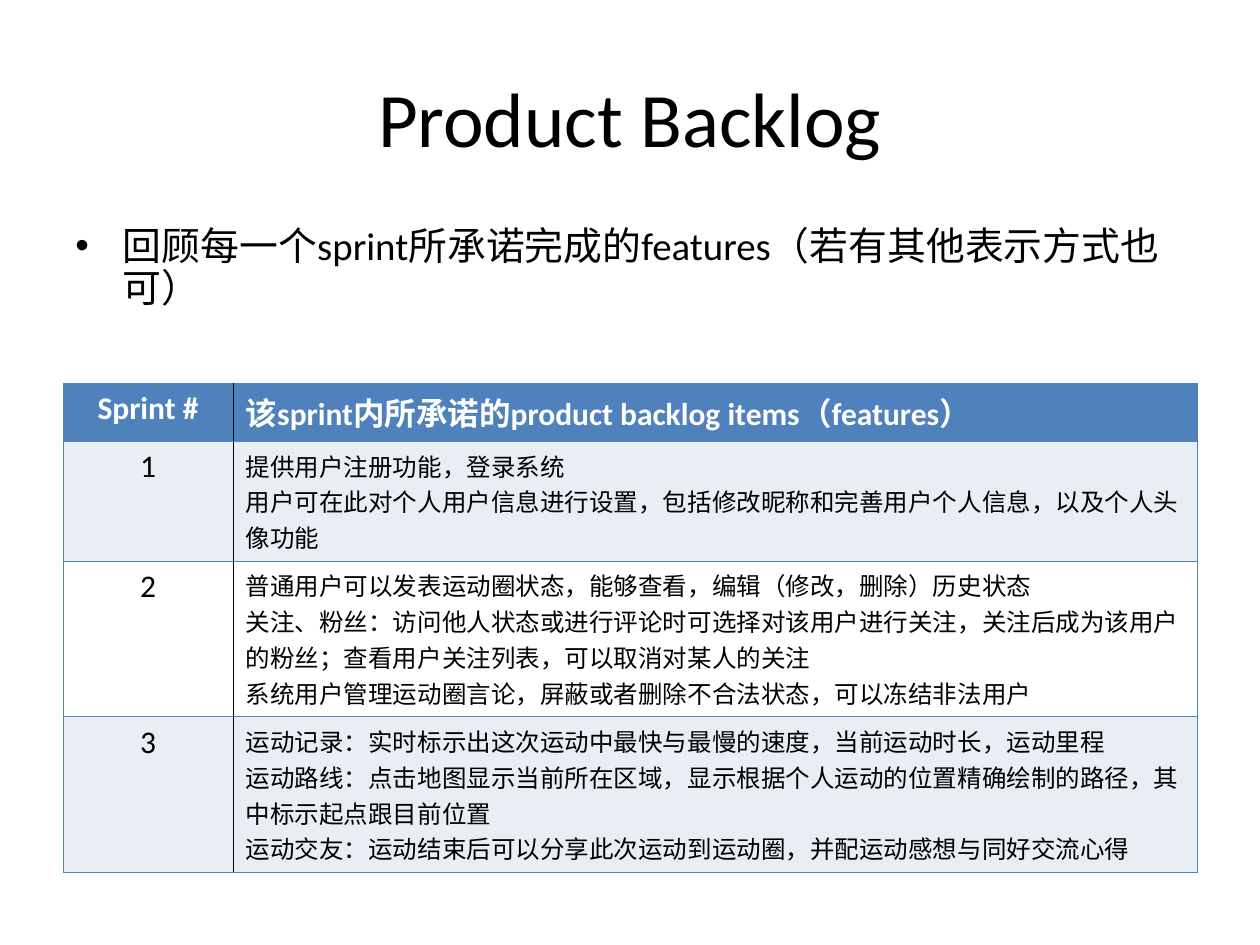
from dataclasses import dataclass

import lxml.etree
import pptx
import pptx.dml.color
import pptx.enum.text
import pptx.oxml
import pptx.oxml.ns
import pptx.util

Cm = pptx.util.Cm
Pt = pptx.util.Pt
Align = pptx.enum.text.PP_ALIGN
Anchor = pptx.enum.text.MSO_ANCHOR
qn = pptx.oxml.ns.qn

FONT = "Calibri"
BLACK = "000000"
WHITE = "FFFFFF"
BLUE = "4F81BD"
PALE_BLUE = "E9EDF4"
MARGIN = Cm(1.27)
CONTENT_WIDTH = Cm(22.86)
COLUMN_WIDTHS = (Cm(3.43), Cm(19.43))


@dataclass
class BacklogRow:
    sprint: str
    features: list[str]
    height: float
    fill: str
    color: str = BLACK
    feature_size: float = 14
    bold: bool = False


ROWS = [
    BacklogRow("Sprint #", ["该sprint内所承诺的product backlog items（features）"],
               1.17, BLUE, WHITE, 18, True),
    BacklogRow("1", [
        "提供用户注册功能，登录系统",
        "用户可在此对个人用户信息进行设置，包括修改昵称和完善用户个人信息，以及个人头像功能",
    ], 2.41, PALE_BLUE),
    BacklogRow("2", [
        "普通用户可以发表运动圈状态，能够查看，编辑（修改，删除）历史状态",
        "关注、粉丝：访问他人状态或进行评论时可选择对该用户进行关注，关注后成为该用户的粉丝；查看用户关注列表，可以取消对某人的关注",
        "系统用户管理运动圈言论，屏蔽或者删除不合法状态，可以冻结非法用户",
    ], 3.14, WHITE),
    BacklogRow("3", [
        "运动记录：实时标示出这次运动中最快与最慢的速度，当前运动时长，运动里程",
        "运动路线：点击地图显示当前所在区域，显示根据个人运动的位置精确绘制的路径，其中标示起点跟目前位置",
        "运动交友：运动结束后可以分享此次运动到运动圈，并配运动感想与同好交流心得",
    ], 3.14, PALE_BLUE),
]


def rgb(color: str) -> pptx.dml.color.RGBColor:
    return pptx.dml.color.RGBColor.from_string(color)


def format_text(text_frame, size: float, color: str, align, bold: bool = False) -> None:
    for paragraph in text_frame.paragraphs:
        paragraph.alignment = align
        for run in paragraph.runs:
            run.font.name = FONT
            run.font.size = Pt(size)
            run.font.bold = bold
            run.font.color.rgb = rgb(color)


def add_borders(cell, colors: dict[str, str]) -> None:
    properties = cell._tc.get_or_add_tcPr()
    for index, (side, color) in enumerate(colors.items()):
        line = lxml.etree.Element(qn(f"a:ln{side}"), w=str(Pt(0.45)))
        fill = lxml.etree.SubElement(line, qn("a:solidFill"))
        lxml.etree.SubElement(fill, qn("a:srgbClr"), val=color)
        properties.insert(index, line)


def fill_cell(cell, text: str, row: BacklogRow, size: float, align) -> None:
    cell.text_frame.text = text
    format_text(cell.text_frame, size, row.color, align, row.bold)
    cell.fill.solid()
    cell.fill.fore_color.rgb = rgb(row.fill)


def add_title(slide, text: str) -> None:
    title = slide.shapes.title
    title.left, title.top = MARGIN, Cm(0.76)
    title.width, title.height = CONTENT_WIDTH, Cm(3.18)
    title.text_frame.text = text
    title.text_frame.vertical_anchor = Anchor.MIDDLE
    format_text(title.text_frame, 44, BLACK, Align.CENTER)


def add_bullet_text(slide, text: str) -> None:
    box = slide.shapes.add_textbox(MARGIN, Cm(4.45), CONTENT_WIDTH, Cm(2.29))
    box.text_frame.word_wrap = True
    box.text_frame.text = text
    paragraph = box.text_frame.paragraphs[0]
    properties = paragraph._p.get_or_add_pPr()
    properties.set("marL", str(Cm(0.96)))
    properties.set("indent", str(-Cm(0.96)))
    bullet_color = lxml.etree.SubElement(properties, qn("a:buClr"))
    lxml.etree.SubElement(bullet_color, qn("a:srgbClr"), val=BLACK)
    lxml.etree.SubElement(properties, qn("a:buFont"), typeface="Arial")
    lxml.etree.SubElement(properties, qn("a:buChar"), char="•")
    paragraph.line_spacing = 0.9
    format_text(box.text_frame, 22.2, BLACK, Align.LEFT)


def add_backlog_table(slide, rows: list[BacklogRow]) -> None:
    height = Cm(sum(row.height for row in rows))
    frame = slide.shapes.add_table(
        len(rows), len(COLUMN_WIDTHS), MARGIN, Cm(7.72), CONTENT_WIDTH, height)
    table = frame.table
    for column, width in zip(table.columns, COLUMN_WIDTHS):
        column.width = width
    for index, row in enumerate(rows):
        table.rows[index].height = Cm(row.height)
        sprint_cell, feature_cell = table.cell(index, 0), table.cell(index, 1)
        fill_cell(sprint_cell, row.sprint, row, 18, Align.CENTER)
        fill_cell(feature_cell, "\n".join(row.features), row, row.feature_size, Align.LEFT)
        add_borders(sprint_cell, {"L": BLUE, "R": BLACK, "T": BLUE, "B": BLUE})
        add_borders(feature_cell, {"L": BLACK, "R": BLUE, "T": BLUE, "B": BLUE})


def main() -> None:
    presentation = pptx.Presentation()
    presentation.slide_width, presentation.slide_height = Cm(25.4), Cm(19.05)
    slide = presentation.slides.add_slide(presentation.slide_layouts[5])
    add_title(slide, "Product Backlog")
    add_backlog_table(slide, ROWS)
    add_bullet_text(slide, "回顾每一个sprint所承诺完成的features（若有其他表示方式也可）")
    presentation.save("out.pptx")


if __name__ == "__main__":
    main()
